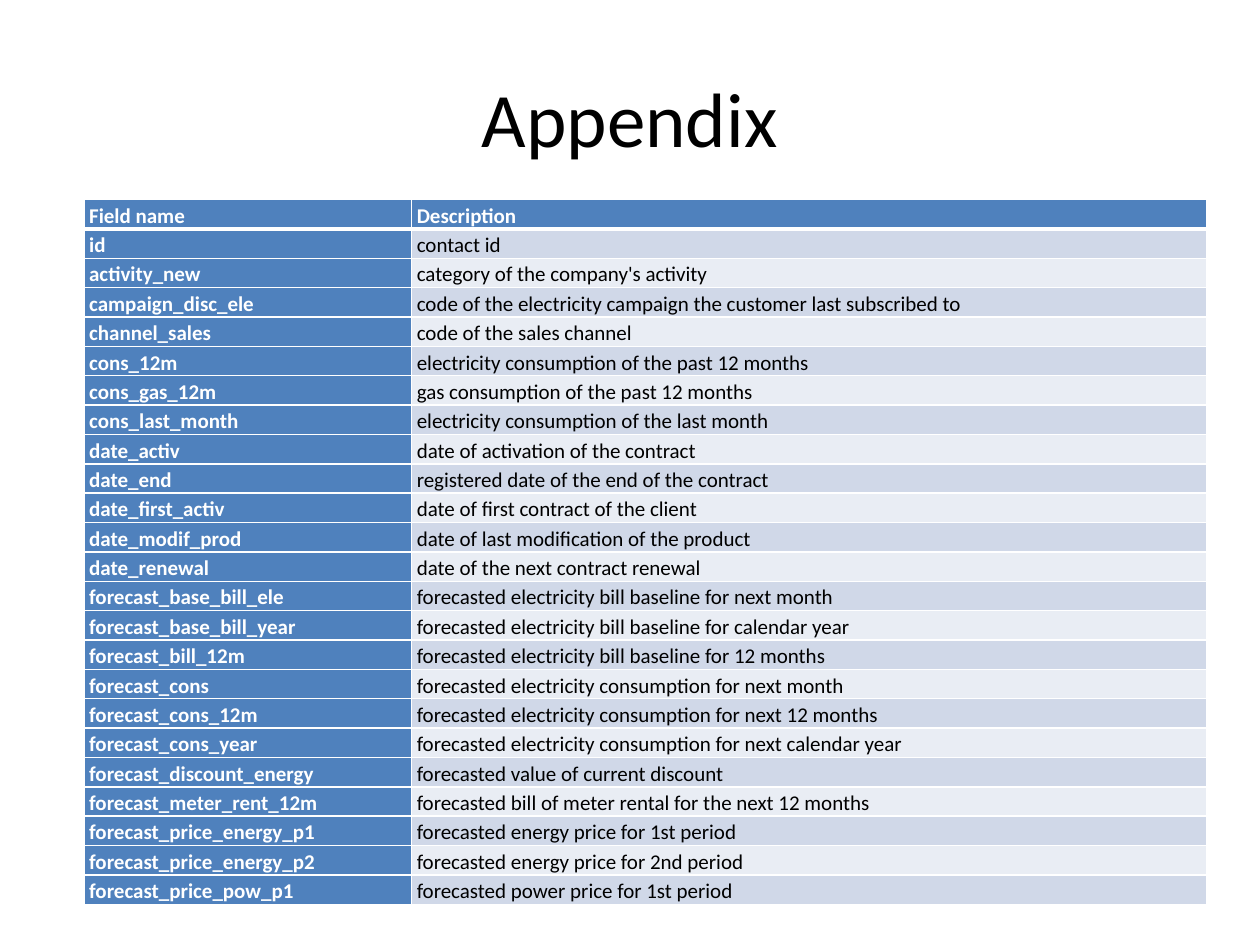
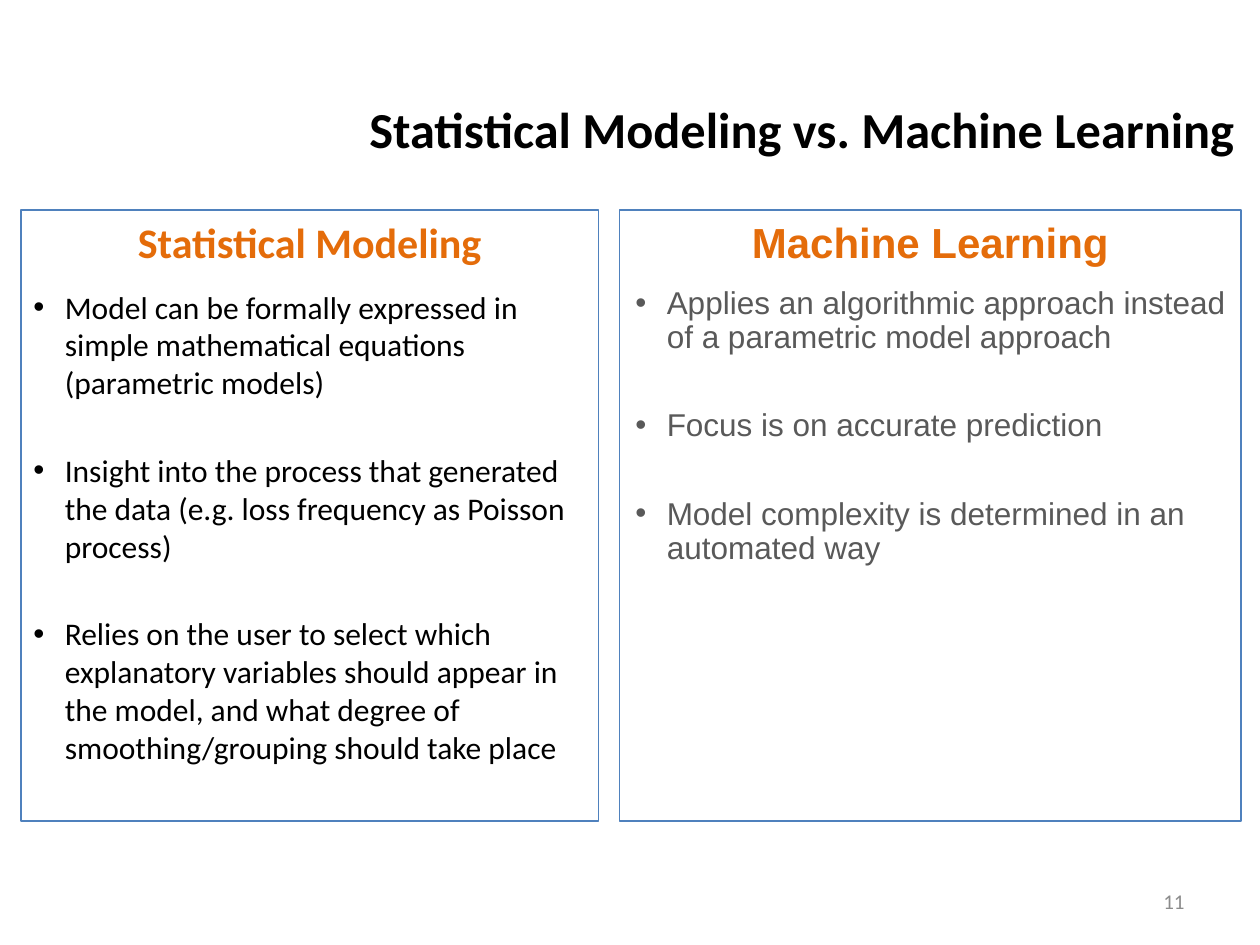
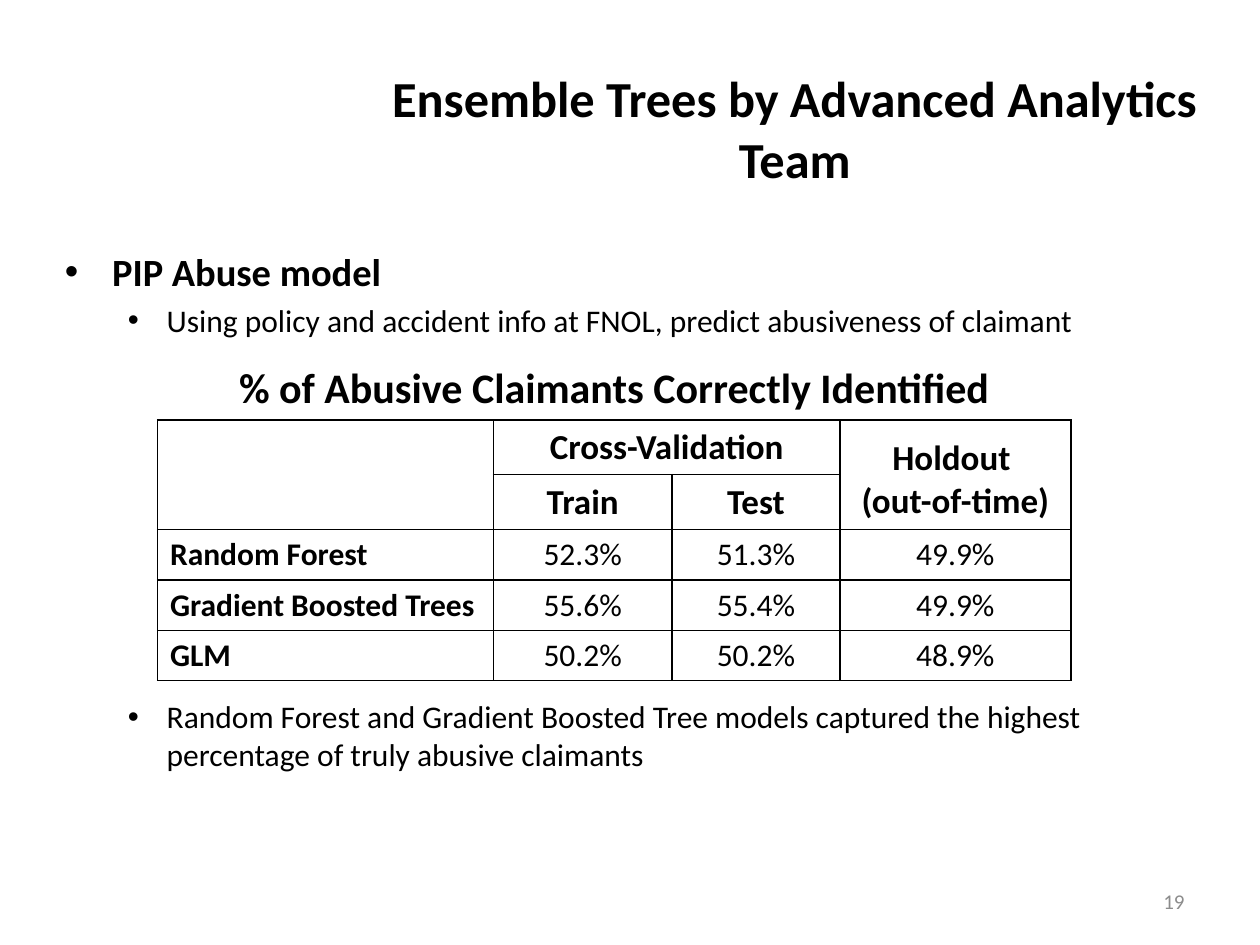
from lxml.etree import SubElement
from pptx import Presentation
from pptx.dml.color import RGBColor
from pptx.enum.shapes import MSO_SHAPE
from pptx.enum.text import MSO_ANCHOR, PP_ALIGN
from pptx.oxml import parse_xml
from pptx.oxml.ns import nsdecls, qn
from pptx.util import Pt

PX = 7620
BLACK, WHITE, BLUE = "000000", "FFFFFF", "4F81BD"
BANDS = ["E9EDF4", "D0D8E8"]
ORANGE, DARK_GRAY, PAGE_GRAY = "E46C0A", "595959", "8C8C8C"
LEFT, CENTER, RIGHT = PP_ALIGN.LEFT, PP_ALIGN.CENTER, PP_ALIGN.RIGHT


def write(paragraph, text, size, color=BLACK, bold=False, align=LEFT,
          font="Calibri", before=0, bullet=None):
    paragraph.text = text
    paragraph.alignment = align
    paragraph.space_before = Pt(before)
    paragraph.font.name = font
    paragraph.font.size = Pt(size)
    paragraph.font.bold = bold
    paragraph.font.color.rgb = RGBColor.from_string(color)
    if bullet:
        margin, hanging = bullet
        properties = paragraph._p.get_or_add_pPr()
        properties.set("marL", str(margin * PX))
        properties.set("indent", str(-hanging * PX))
        SubElement(properties, qn("a:buFont")).set("typeface", "Arial")
        SubElement(properties, qn("a:buChar")).set("char", "•")


def set_borders(cell, color, widths):
    properties = cell._tc.get_or_add_tcPr()
    for index, (side, width) in enumerate(zip("LRTB", widths)):
        paint = f'<a:solidFill><a:srgbClr val="{color}"/></a:solidFill>' if width else "<a:noFill/>"
        properties.insert(index, parse_xml(
            f'<a:ln{side} {nsdecls("a")} w="{Pt(width)}">{paint}</a:ln{side}>'))


presentation = Presentation()
presentation.slide_width = 1200 * PX
presentation.slide_height = 900 * PX

titles = [
    ("Appendix", 44, False, (60, 36, 1080, 150)),
    ("Statistical Modeling vs. Machine Learning", 28.8, True, (320, 80, 888, 84)),
    ("Ensemble Trees by Advanced Analytics Team", 28.8, True, (313, 80, 888, 84)),
]
slides = []
for title, size, bold, place in titles:
    slide = presentation.slides.add_slide(presentation.slide_layouts[6])
    frame = slide.shapes.add_textbox(*(length * PX for length in place)).text_frame
    frame.word_wrap = True
    frame.vertical_anchor = MSO_ANCHOR.MIDDLE
    write(frame.paragraphs[0], title, size, bold=bold, align=CENTER)
    slides.append(slide)
appendix, comparison, ensemble = slides

for slide, number in [(comparison, "11"), (ensemble, "19")]:
    frame = slide.shapes.add_textbox(860 * PX, 834 * PX, 280 * PX, 48 * PX).text_frame
    frame.word_wrap = True
    frame.vertical_anchor = MSO_ANCHOR.MIDDLE
    write(frame.paragraphs[0], number, 12, PAGE_GRAY, align=RIGHT)

fields = [
    ("Field name", "Description"),
    ("id", "contact id"),
    ("activity_new", "category of the company's activity"),
    ("campaign_disc_ele", "code of the electricity campaign the customer last subscribed to"),
    ("channel_sales", "code of the sales channel"),
    ("cons_12m", "electricity consumption of the past 12 months"),
    ("cons_gas_12m", "gas consumption of the past 12 months"),
    ("cons_last_month", "electricity consumption of the last month"),
    ("date_activ", "date of activation of the contract"),
    ("date_end", "registered date of the end of the contract"),
    ("date_first_activ", "date of first contract of the client"),
    ("date_modif_prod", "date of last modification of the product"),
    ("date_renewal", "date of the next contract renewal"),
    ("forecast_base_bill_ele", "forecasted electricity bill baseline for next month"),
    ("forecast_base_bill_year", "forecasted electricity bill baseline for calendar year"),
    ("forecast_bill_12m", "forecasted electricity bill baseline for 12 months"),
    ("forecast_cons", "forecasted electricity consumption for next month"),
    ("forecast_cons_12m", "forecasted electricity consumption for next 12 months"),
    ("forecast_cons_year", "forecasted electricity consumption for next calendar year"),
    ("forecast_discount_energy", "forecasted value of current discount"),
    ("forecast_meter_rent_12m", "forecasted bill of meter rental for the next 12 months"),
    ("forecast_price_energy_p1", "forecasted energy price for 1st period"),
    ("forecast_price_energy_p2", "forecasted energy price for 2nd period"),
    ("forecast_price_pow_p1", "forecasted power price for 1st period"),
]
field_table = appendix.shapes.add_table(
    len(fields), 2, 80 * PX, 190 * PX, 1069 * PX, len(fields) * 28 * PX).table
field_table.columns[0].width = 312 * PX
field_table.columns[1].width = 757 * PX
for row, texts in enumerate(fields):
    field_table.rows[row].height = 28 * PX
    for column, text in enumerate(texts):
        cell = field_table.cell(row, column)
        heading = row == 0 or column == 0
        cell.margin_left = cell.margin_right = 5 * PX
        cell.margin_top = cell.margin_bottom = 0
        cell.vertical_anchor = MSO_ANCHOR.BOTTOM
        cell.fill.solid()
        cell.fill.fore_color.rgb = RGBColor.from_string(BLUE if heading else BANDS[row % 2])
        set_borders(cell, WHITE, (1, 1, 3 if row == 1 else 1, 3 if row == 0 else 1))
        paragraph = cell.text_frame.paragraphs[0]
        write(paragraph, text, 12, WHITE if heading else BLACK, heading)
        paragraph.line_spacing = 1.15

panels = [
    ("Statistical Modeling", (20, 200, 550, 582), 12, "Calibri", BLACK, (30, 30), 1, 0, 28.6, [
        "Model can be formally expressed in simple mathematical equations (parametric models)",
        "Insight into the process that generated the data (e.g. loss frequency as Poisson process)",
        "Relies on the user to select which explanatory variables should appear in the model, "
        "and what degree of smoothing/grouping should take place",
    ]),
    ("Machine Learning", (590, 200, 592, 582), 0, "Arial", DARK_GRAY, (45, 30), 0.9, 2, 28.9, [
        "Applies an algorithmic approach instead of a parametric model approach",
        "Focus is on accurate prediction",
        "Model complexity is determined in an automated way",
    ]),
]
for heading, place, inset, font, color, bullet, spacing, after, gap, points in panels:
    panel = comparison.shapes.add_shape(MSO_SHAPE.RECTANGLE, *(length * PX for length in place))
    panel.shadow.inherit = False
    panel.fill.background()
    panel.line.color.rgb = RGBColor.from_string(BLUE)
    panel.line.width = Pt(0.75)
    frame = panel.text_frame
    frame.word_wrap = True
    frame.vertical_anchor = MSO_ANCHOR.TOP
    frame.margin_left = frame.margin_right = inset * PX
    write(frame.paragraphs[0], heading, 24, ORANGE, True, CENTER, font, 6)
    for index, point in enumerate(points):
        paragraph = frame.add_paragraph()
        paragraph.line_spacing = spacing
        paragraph.space_after = Pt(after)
        write(paragraph, point, 18, color, font=font, before=gap if index else 12, bullet=bullet)

frame = ensemble.shapes.add_textbox(50 * PX, 230 * PX, 1090 * PX, 550 * PX).text_frame
frame.word_wrap = True
write(frame.paragraphs[0], "PIP Abuse model", 22, bold=True, bullet=(45, 45))
for text, before in [
    ("Using policy and accident info at FNOL, predict abusiveness of claimant", 4),
    ("Random Forest and Gradient Boosted Tree models captured the highest "
     "percentage of truly abusive claimants", 205),
]:
    write(frame.add_paragraph(), text, 18, before=before, bullet=(97, 37))

results = [
    ["% of Abusive Claimants Correctly Identified", "", "", ""],
    ["", "Cross-Validation", "", "Holdout \n(out-of-time)"],
    ["", "Train", "Test", ""],
    ["Random Forest", "52.3%", "51.3%", "49.9%"],
    ["Gradient Boosted Trees", "55.6%", "55.4%", "49.9%"],
    ["GLM", "50.2%", "50.2%", "48.9%"],
]
row_heights = [60, 52, 52, 48, 48, 48]
row_sizes = [24, 20, 20, 18, 18, 18]
column_widths = [320, 170, 160, 220]
result_table = ensemble.shapes.add_table(
    6, 4, 150 * PX, 340 * PX, sum(column_widths) * PX, sum(row_heights) * PX).table
result_table.first_row = result_table.horz_banding = False
for column, width in enumerate(column_widths):
    result_table.columns[column].width = width * PX
for row, texts in enumerate(results):
    result_table.rows[row].height = row_heights[row] * PX
    for column, text in enumerate(texts):
        cell = result_table.cell(row, column)
        cell.fill.background()
        cell.vertical_anchor = MSO_ANCHOR.BOTTOM if row < 3 else MSO_ANCHOR.TOP
        set_borders(cell, BLACK, (1, 1, 1, 1) if row else (0, 0, 0, 1))
        cell.text_frame.text = text
        for paragraph in cell.text_frame.paragraphs:
            write(paragraph, paragraph.text, row_sizes[row], bold=row < 3 or column == 0,
                  align=LEFT if row > 2 and column == 0 else CENTER)
for first, last in [((0, 0), (0, 3)), ((1, 0), (2, 0)), ((1, 1), (1, 2)), ((1, 3), (2, 3))]:
    result_table.cell(*first).merge(result_table.cell(*last))

presentation.save("out.pptx")
